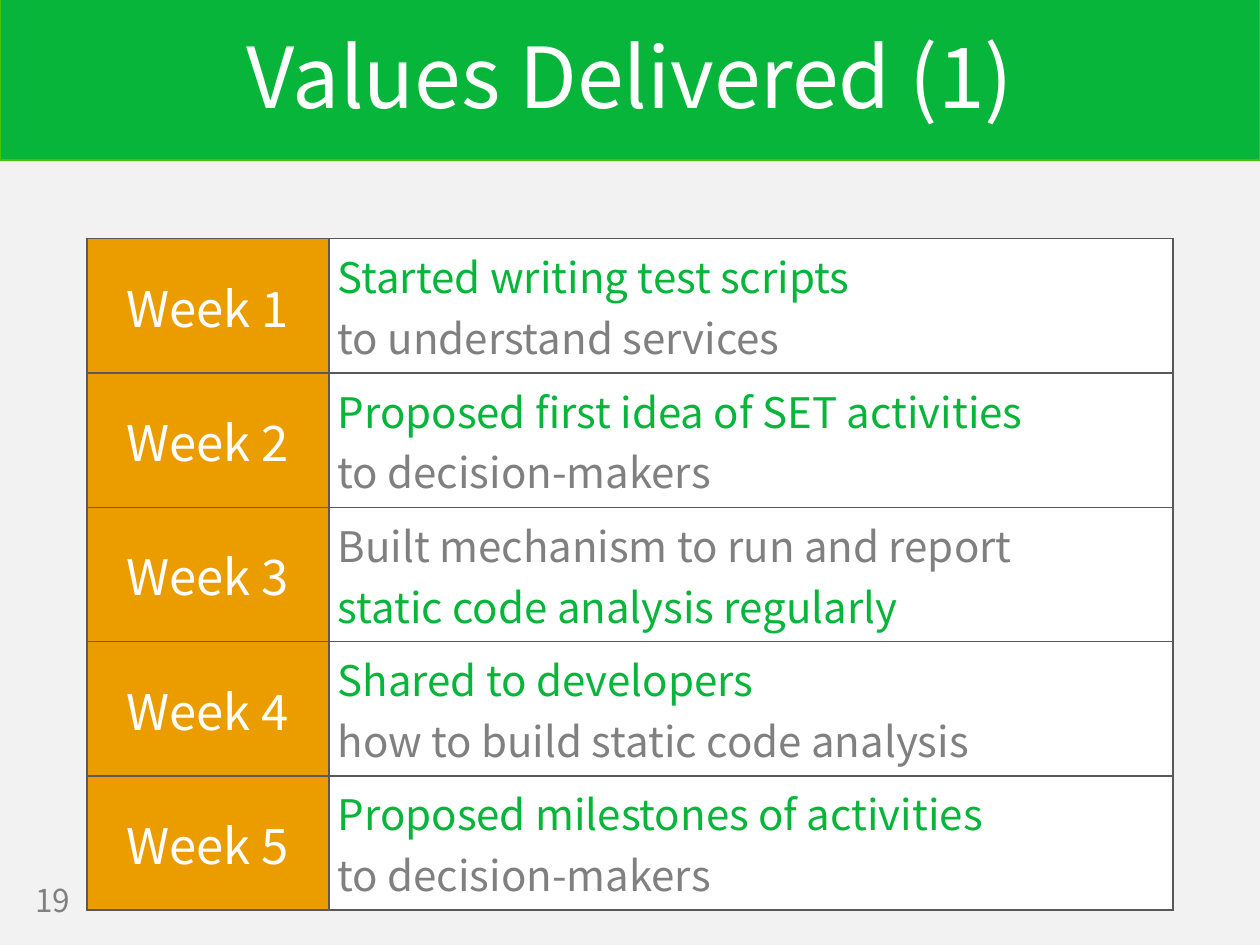
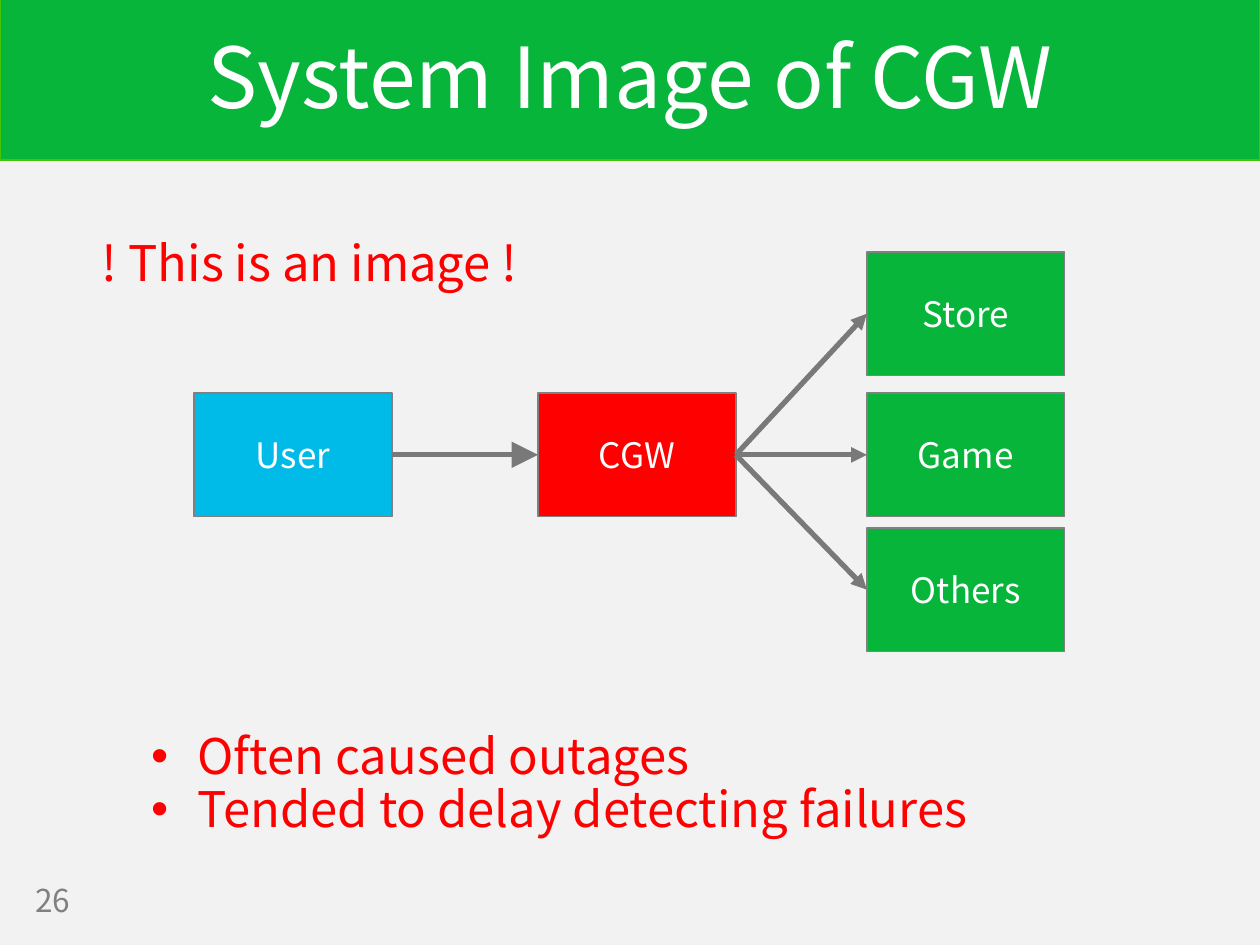
from dataclasses import dataclass

from lxml import etree
from pptx import Presentation
from pptx.dml.color import RGBColor
from pptx.enum.shapes import MSO_CONNECTOR, MSO_SHAPE
from pptx.enum.text import MSO_ANCHOR, PP_ALIGN
from pptx.oxml.ns import qn
from pptx.util import Inches, Pt

RECTANGLE, STRAIGHT = MSO_SHAPE.RECTANGLE, MSO_CONNECTOR.STRAIGHT
LEFT, CENTER = PP_ALIGN.LEFT, PP_ALIGN.CENTER
MIDDLE, BOTTOM = MSO_ANCHOR.MIDDLE, MSO_ANCHOR.BOTTOM
LEFT_SITE, RIGHT_SITE = 1, 3

# The slide is a grid of 100 columns by 75 rows
UNIT = Inches(0.1)
COLUMNS, ROWS = 100, 75
TITLE_ONLY = 5
FONT = "Noto Sans CJK JP"
COLORS = {
    "background": "F2F2F2", "green": "07B53B", "band line": "44C404",
    "white": "FFFFFF", "gray": "808080", "orange": "EB9D00",
    "border": "595959", "red": "FF0000", "blue": "00BAE8", "arrow": "797979",
}


@dataclass
class Box:
    left: float
    top: float
    width: float
    height: float

    def inner(self, left, top, width, height):
        return Box(self.left + left, self.top + top, width, height)

    def lengths(self):
        return [round(value * UNIT) for value in
                (self.left, self.top, self.width, self.height)]


BAND = Box(0, -0.1, COLUMNS, 12.8)
TITLE = Box(0, 3.6, COLUMNS, 5.7)
PAGE_NUMBER = Box(1.8, 69.5, 7.9, 3.9)
CONTENT = Box(6.9, 18.5, 86.2, 48.5)
WEEK_TABLE = Box(6.9, 18.95, 86.2, 53.3)
FLOW = Box(15.4, 20, 69.1, 31.7)

GREEN, GRAY = "green", "gray"
WEEKS = [
    [("Started writing test scripts", GREEN), ("to understand services", GRAY)],
    [("Proposed first idea of SET activities", GREEN), ("to decision-makers", GRAY)],
    [("Built mechanism to run and report", GRAY), ("static code analysis regularly", GREEN)],
    [("Shared to developers", GREEN), ("how to build static code analysis", GRAY)],
    [("Proposed milestones of activities", GREEN), ("to decision-makers", GRAY)],
]
# Name: fill, column, row
NODES = {
    "User": ("blue", 0, 1), "CGW": ("red", 1, 1),
    "Store": (GREEN, 2, 0), "Game": (GREEN, 2, 1), "Others": (GREEN, 2, 2),
}
NODE_LEFTS, NODE_TOPS = (0, 27.3, 53.4), (0, 11.2, 21.9)
NODE_WIDTH, NODE_HEIGHT = 15.7, 9.8
# From, to, size of the arrowhead
ARROWS = [("User", "CGW", "lg"), ("CGW", "Store", "med"),
          ("CGW", "Others", "med"), ("CGW", "Game", "med")]


# Shared helpers
def rgb(name):
    return RGBColor.from_string(COLORS[name])


def set_attributes(target, values):
    for name, value in values.items():
        setattr(target, name, value)


def set_line(line, color, width):
    line.color.rgb = rgb(color)
    line.width = Pt(width)


def write(frame, lines, size, align=LEFT, spacing=1.0, bullet_indent=None, indent=0):
    """Write (text, color) pairs, one paragraph each."""
    for index, (text, color) in enumerate(lines):
        paragraph = frame.paragraphs[0] if index == 0 else frame.add_paragraph()
        set_attributes(paragraph, {
            "alignment": align, "line_spacing": spacing,
            "space_before": Pt(0), "space_after": Pt(0),
        })
        properties = paragraph._p.get_or_add_pPr()
        properties.set("marL", str(round(indent * UNIT)))
        if bullet_indent:
            properties.set("indent", str(round(bullet_indent * UNIT)))
            etree.SubElement(properties, qn("a:buFont")).set("typeface", "Arial")
            etree.SubElement(properties, qn("a:buChar")).set("char", "•")
        run = paragraph.add_run()
        run.text = text
        set_attributes(run.font, {"name": FONT, "size": Pt(size), "bold": False})
        run.font.color.rgb = rgb(color)


def add_text(slide, box, lines, size, anchor=MIDDLE, **style):
    frame = slide.shapes.add_textbox(*box.lengths()).text_frame
    set_attributes(frame, {"word_wrap": True, "vertical_anchor": anchor})
    write(frame, lines, size, **style)


def add_rectangle(slide, box, fill, line):
    shape = slide.shapes.add_shape(RECTANGLE, *box.lengths())
    shape.shadow.inherit = False
    shape.fill.solid()
    shape.fill.fore_color.rgb = rgb(fill)
    set_line(shape.line, line, 1)
    return shape


def add_slide(presentation, heading, number):
    slide = presentation.slides.add_slide(presentation.slide_layouts[TITLE_ONLY])
    slide.background.fill.solid()
    slide.background.fill.fore_color.rgb = rgb("background")
    # Band behind the title
    title = slide.shapes.title
    band = add_rectangle(slide, BAND, GREEN, "band line")
    title._element.addprevious(band._element)
    set_attributes(title, dict(zip(("left", "top", "width", "height"), TITLE.lengths())))
    title.text_frame.vertical_anchor = MIDDLE
    write(title.text_frame, [(heading, "white")], 48, CENTER, 0.9)
    add_text(slide, PAGE_NUMBER, [(str(number), GRAY)], 18)
    return slide


# Table of weeks
def format_cell(cell, fill, lines, size, align):
    set_attributes(cell, {
        "vertical_anchor": MIDDLE,
        "margin_left": Inches(0.07), "margin_right": Inches(0.07),
        "margin_top": Inches(0.05), "margin_bottom": Inches(0.05),
    })
    cell.fill.solid()
    cell.fill.fore_color.rgb = rgb(fill)
    write(cell.text_frame, lines, size, align)
    properties = cell._tc.get_or_add_tcPr()
    for index, side in enumerate(("lnL", "lnR", "lnT", "lnB")):
        border = etree.Element(qn(f"a:{side}"), w=str(Pt(1)))
        solid = etree.SubElement(border, qn("a:solidFill"))
        etree.SubElement(solid, qn("a:srgbClr")).set("val", COLORS["border"])
        properties.insert(index, border)


def add_week_table(slide, box):
    table = slide.shapes.add_table(len(WEEKS), 2, *box.lengths()).table
    set_attributes(table, {"first_row": False, "horz_banding": False})
    week_width = round(19.2 * UNIT)
    table.columns[0].width = week_width
    table.columns[1].width = round(box.width * UNIT) - week_width
    for index, lines in enumerate(WEEKS):
        week, work = table.rows[index].cells
        format_cell(week, "orange", [(f"Week {index + 1}", "white")], 28, CENTER)
        format_cell(work, "white", lines, 24, LEFT)


# Flow of nodes and arrows
def add_arrow(slide, start, end, head_size):
    arrow = slide.shapes.add_connector(STRAIGHT, 0, 0, 0, 0)
    arrow.begin_connect(start, RIGHT_SITE)
    arrow.end_connect(end, LEFT_SITE)
    set_line(arrow.line, "arrow", 3)
    head = etree.SubElement(arrow.line._get_or_add_ln(), qn("a:tailEnd"))
    for name, value in {"type": "triangle", "w": head_size, "len": head_size}.items():
        head.set(name, value)
    etree.SubElement(arrow._element.spPr, qn("a:effectLst"))


def add_flow(slide, box):
    nodes = {}
    for name, (fill, column, row) in NODES.items():
        place = box.inner(NODE_LEFTS[column], NODE_TOPS[row], NODE_WIDTH, NODE_HEIGHT)
        nodes[name] = add_rectangle(slide, place, fill, GRAY)
        nodes[name].text_frame.vertical_anchor = MIDDLE
        write(nodes[name].text_frame, [(name, "white")], 20, CENTER)
    for start, end, head_size in ARROWS:
        add_arrow(slide, nodes[start], nodes[end], head_size)


def add_remarks(slide, box):
    add_text(slide, box.inner(0, 0, box.width, 5.1),
             [("! This is an image !", "red")], 28, spacing=0.9, indent=0.2)
    remarks = ["Often caused outages", "Tended to delay detecting failures"]
    add_text(slide, box.inner(0, 33.5, box.width, box.height - 33.5),
             [(remark, "red") for remark in remarks], 28, BOTTOM,
             spacing=0.9, bullet_indent=-3.7, indent=7.8)


def main():
    presentation = Presentation()
    presentation.slide_width = COLUMNS * UNIT
    presentation.slide_height = ROWS * UNIT

    values_slide = add_slide(presentation, "Values Delivered (1)", 19)
    add_week_table(values_slide, WEEK_TABLE)

    system_slide = add_slide(presentation, "System Image of CGW", 26)
    add_remarks(system_slide, CONTENT)
    add_flow(system_slide, FLOW)

    presentation.save("out.pptx")


if __name__ == "__main__":
    main()
